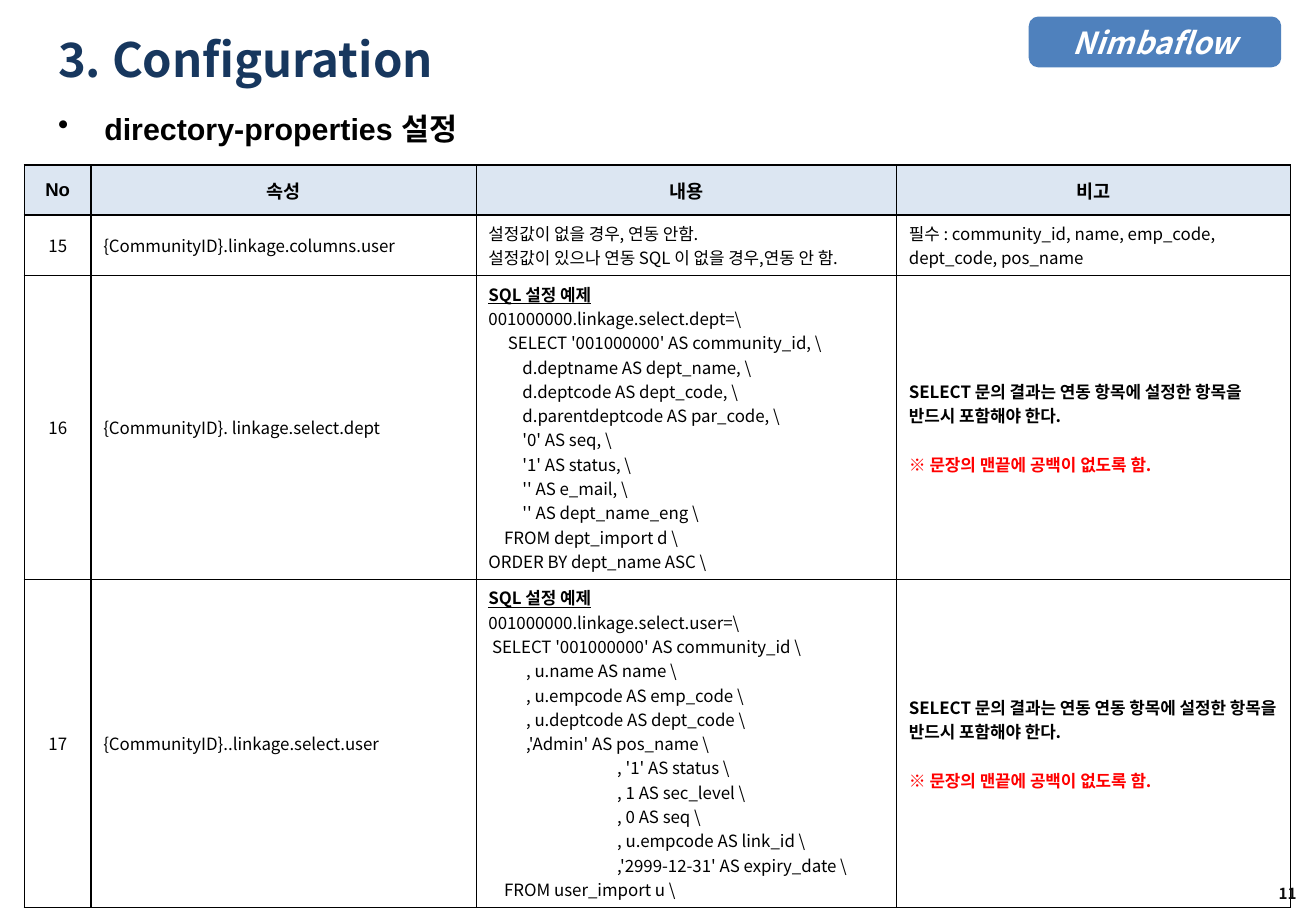
import pptx
import pptx.util
import pptx.dml.color
import pptx.enum.shapes
import pptx.enum.text
import pptx.oxml
import pptx.oxml.ns
from lxml import etree

Inches, Pt = pptx.util.Inches, pptx.util.Pt
RGBColor = pptx.dml.color.RGBColor
ALIGN = pptx.enum.text.PP_ALIGN
MIDDLE = pptx.enum.text.MSO_ANCHOR.MIDDLE
qn = pptx.oxml.ns.qn

BLACK = RGBColor(0, 0, 0)
WHITE = RGBColor(255, 255, 255)
RED = RGBColor(255, 0, 0)
NAVY = RGBColor(0x17, 0x37, 0x5E)
BADGE_BLUE = RGBColor(0x4F, 0x81, 0xBD)
HEADER_BLUE = RGBColor(0xDC, 0xE6, 0xF2)
NUMBER_GRAY = RGBColor(0x0D, 0x0D, 0x0D)
SANS, ARIAL = "Noto Sans CJK KR", "Arial"

# Content: a cell is a list of (text, format) lines
EXAMPLE = ("SQL 설정 예제", dict(bold=True, underline=True))
WARNING = ("※ 문장의 맨끝에 공백이 없도록 함.", dict(bold=True, color=RED, before=14.4))


def plain(*lines):
    return [(line, {}) for line in lines]


def code(*lines):
    """SQL lines given as (indent in inches, text), below the example heading."""
    return [EXAMPLE] + [(line, dict(indent=indent)) for indent, line in lines]


def remark(sentence):
    return [(sentence, dict(bold=True)), WARNING]


DEPT_SQL = code(
    (0, "001000000.linkage.select.dept=\\"),
    (0.16, "SELECT '001000000' AS community_id, \\"),
    (0.28, "d.deptname AS dept_name, \\"),
    (0.28, "d.deptcode AS dept_code, \\"),
    (0.28, "d.parentdeptcode AS par_code, \\"),
    (0.28, "'0' AS seq, \\"),
    (0.28, "'1' AS status, \\"),
    (0.28, "'' AS e_mail, \\"),
    (0.28, "'' AS dept_name_eng \\"),
    (0.13, "FROM dept_import d \\"),
    (0, "ORDER BY dept_name ASC \\"),
)
USER_SQL = code(
    (0, "001000000.linkage.select.user=\\"),
    (0.03, "SELECT '001000000' AS community_id \\"),
    (0.31, ", u.name AS name \\"),
    (0.31, ", u.empcode AS emp_code \\"),
    (0.31, ", u.deptcode AS dept_code \\"),
    (0.31, ",'Admin' AS pos_name \\"),
    (1.06, ", '1' AS status \\"),
    (1.06, ", 1 AS sec_level \\"),
    (1.06, ", 0 AS seq \\"),
    (1.06, ", u.empcode AS link_id \\"),
    (1.06, ",'2999-12-31' AS expiry_date \\"),
    (0.13, "FROM user_import u \\"),
)
HEADERS = ["No", "속성", "내용", "비고"]
ROWS = [
    [plain("15"), plain("{CommunityID}.linkage.columns.user"),
     plain("설정값이 없을 경우, 연동 안함.",
           "설정값이 있으나 연동 SQL 이 없을 경우,연동 안 함."),
     plain("필수 : community_id, name, emp_code, dept_code, pos_name")],
    [plain("16"), plain("{CommunityID}. linkage.select.dept"), DEPT_SQL,
     remark("SELECT 문의 결과는 연동 항목에 설정한 항목을 반드시 포함해야 한다.")],
    [plain("17"), plain("{CommunityID}..linkage.select.user"), USER_SQL,
     remark("SELECT 문의 결과는 연동 연동 항목에 설정한 항목을 반드시 포함해야 한다.")],
]
COLUMN_WIDTHS = [0.55, 3.17, 3.46, 3.24]
ROW_HEIGHTS = [0.41, 0.5, 2.5, 2.7]


def write(para, text, size=10, font=SANS, color=BLACK, bold=False, italic=False,
          underline=False, align=ALIGN.LEFT, indent=0, hanging=0, before=0, bullet=None):
    para.alignment = align
    para.space_before = Pt(before)
    props = para._p.get_or_add_pPr()
    props.set("marL", str(Inches(indent)))
    props.set("indent", str(-Inches(hanging)))
    if bullet:
        etree.SubElement(props, qn("a:buChar")).set("char", bullet)
    span = para.add_run()
    span.text = text
    span.font.size, span.font.name = Pt(size), font
    span.font.bold, span.font.italic, span.font.underline = bold, italic, underline
    span.font.color.rgb = color
    etree.SubElement(span._r.get_or_add_rPr(), qn("a:ea")).set("typeface", SANS)


def add_text(page, area, text, anchor=MIDDLE, **style):
    box = page.shapes.add_textbox(*map(Inches, area))
    box.text_frame.word_wrap = True
    box.text_frame.vertical_anchor = anchor
    write(box.text_frame.paragraphs[0], text, **style)
    return box


def add_borders(cell):
    props = cell._tc.get_or_add_tcPr()
    for place, side in enumerate(("lnL", "lnR", "lnT", "lnB")):
        props.insert(place, pptx.oxml.parse_xml(
            f'<a:{side} {pptx.oxml.ns.nsdecls("a")} w="{Pt(1)}"><a:solidFill>'
            f'<a:srgbClr val="{BLACK}"/></a:solidFill></a:{side}>'))


def fill_cell(cell, lines, fill=None, **style):
    cell.vertical_anchor = MIDDLE
    if fill is None:
        cell.fill.background()
    else:
        cell.fill.solid()
        cell.fill.fore_color.rgb = fill
    add_borders(cell)
    frame = cell.text_frame
    for place, (text, line_style) in enumerate(lines):
        para = frame.add_paragraph() if place else frame.paragraphs[0]
        write(para, text, **{**style, **line_style})


deck = pptx.Presentation()
deck.slide_width, deck.slide_height = Inches(10.83), Inches(7.5)
page = deck.slides.add_slide(deck.slide_layouts[6])

# Product badge
badge = page.shapes.add_shape(pptx.enum.shapes.MSO_SHAPE.ROUNDED_RECTANGLE,
                              *map(Inches, (8.48, 0.15, 2.05, 0.39)))
badge.shadow.inherit = False
badge.fill.solid()
badge.fill.fore_color.rgb = badge.line.color.rgb = BADGE_BLUE
badge.line.width = Pt(2)
badge.text_frame.vertical_anchor = MIDDLE
write(badge.text_frame.paragraphs[0], "Nimbaflow", size=18, color=WHITE,
      bold=True, italic=True, align=ALIGN.CENTER)

# Title and subtitle
add_text(page, (0.38, 0.21, 9.75, 0.55), "3. Configuration", size=28, color=NAVY, bold=True)
add_text(page, (0.38, 0.86, 9.91, 0.45), "directory-properties 설정",
         anchor=pptx.enum.text.MSO_ANCHOR.TOP, size=18, font=ARIAL, bold=True,
         indent=0.38, hanging=0.38, bullet="•")

# Property table
table = page.shapes.add_table(len(ROW_HEIGHTS), len(COLUMN_WIDTHS), Inches(0.2), Inches(1.36),
                              Inches(sum(COLUMN_WIDTHS)), Inches(sum(ROW_HEIGHTS))).table
for column, width in zip(table.columns, COLUMN_WIDTHS):
    column.width = Inches(width)
for row, height in zip(table.rows, ROW_HEIGHTS):
    row.height = Inches(height)
for place, header in enumerate(HEADERS):
    fill_cell(table.cell(0, place), plain(header), fill=HEADER_BLUE, size=11, font=ARIAL,
              bold=True, align=ALIGN.CENTER)
for level, cells in enumerate(ROWS, start=1):
    for place, lines in enumerate(cells):
        fill_cell(table.cell(level, place), lines,
                  align=ALIGN.LEFT if place else ALIGN.CENTER)

# Page number
number = add_text(page, (8.26, 7.15, 2.53, 0.41), "11", size=9, color=NUMBER_GRAY,
                  bold=True, align=ALIGN.RIGHT)
number.text_frame.margin_left = number.text_frame.margin_right = Inches(0.12)

deck.save("out.pptx")
